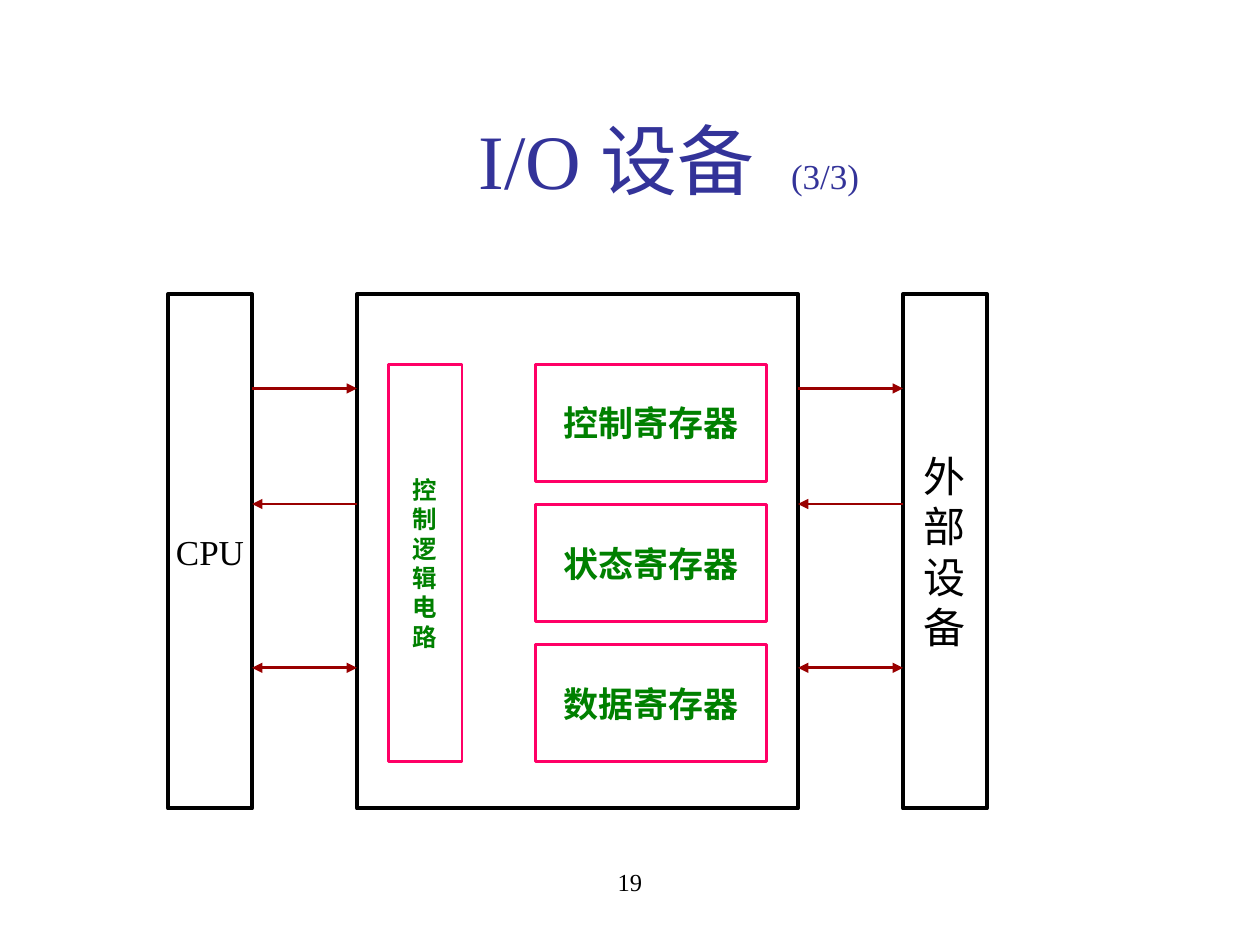
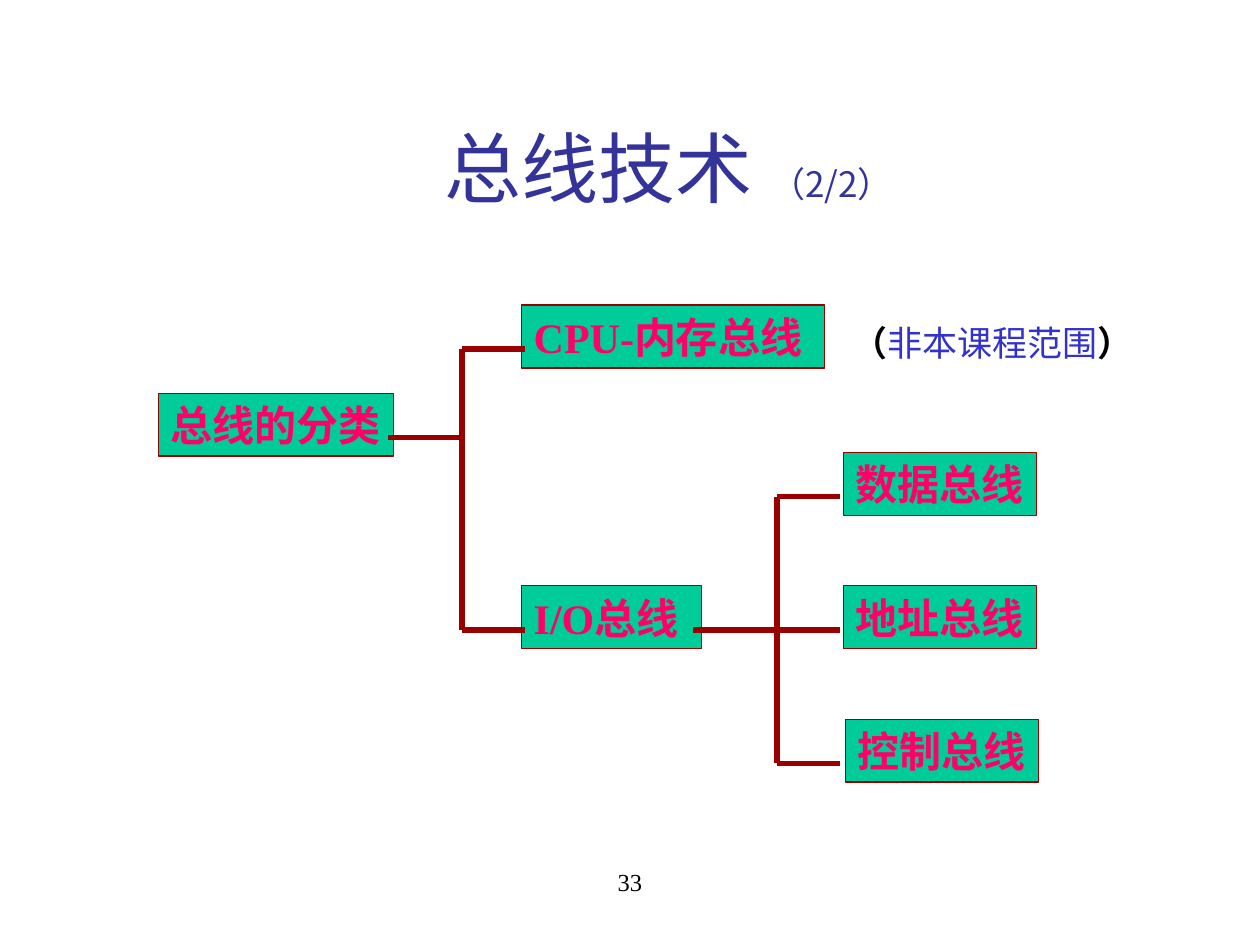
from dataclasses import dataclass

from lxml import etree
from pptx import Presentation
from pptx import util as u
from pptx.dml.color import RGBColor
from pptx.enum import shapes, text
from pptx.oxml.ns import qn

COLUMNS, ROWS = 120, 90  # grid cells across and down the slide
LEFT, CENTER = text.PP_ALIGN.LEFT, text.PP_ALIGN.CENTER
TOP, MIDDLE = text.MSO_ANCHOR.TOP, text.MSO_ANCHOR.MIDDLE


@dataclass(frozen=True)
class Theme:
    ink: str = "000000"
    heading: str = "333399"
    note: str = "3333CC"
    accent: str = "FF0066"
    register: str = "008000"
    wire: str = "990000"
    node: str = "00CC99"
    latin: str = "Times New Roman"
    chinese: str = "Noto Sans CJK SC"
    title_size: int = 44
    large: int = 24
    medium: int = 20
    small: int = 14
    leading: float = 1.2


def apply(target, values):
    for name, value in values.items():
        setattr(target, name, value)


class Deck:
    def __init__(self, theme):
        self.theme = theme
        self.prs = Presentation()
        apply(self.prs, {"slide_width": u.Inches(10), "slide_height": u.Inches(7.5)})
        self.slide = None

    def x(self, column):
        return round(self.prs.slide_width * column / COLUMNS)

    def y(self, row):
        return round(self.prs.slide_height * row / ROWS)

    def place(self, left, top, width, height):
        return self.x(left), self.y(top), self.x(width), self.y(height)

    def fill_text(self, shape, lines, align=CENTER, anchor=TOP, wrap=False, **style):
        """Fill a shape; each line is a string or a list of (string, style) runs."""
        frame = shape.text_frame
        apply(frame, {
            "word_wrap": wrap, "auto_size": text.MSO_AUTO_SIZE.NONE,
            "vertical_anchor": anchor,
            "margin_left": u.Inches(0.1), "margin_right": u.Inches(0.1),
            "margin_top": u.Inches(0.05), "margin_bottom": u.Inches(0.05)})
        for index, line in enumerate(lines):
            paragraph = frame.add_paragraph() if index else frame.paragraphs[0]
            apply(paragraph, {
                "alignment": align,
                "line_spacing": u.Pt(style["size"] * self.theme.leading)})
            for words, changes in [(line, {})] if isinstance(line, str) else line:
                self.add_run(paragraph, words, **{**style, **changes})

    def add_run(self, paragraph, words, size, color, bold=False, font=None, tracking=0):
        run = paragraph.add_run()
        run.text = words
        run.font.color.rgb = RGBColor.from_string(color)
        apply(run.font, {"size": u.Pt(size), "bold": bold,
                         "name": font or self.theme.latin})
        properties = run._r.get_or_add_rPr()
        etree.SubElement(properties, qn("a:ea"), typeface=self.theme.chinese)
        if tracking:
            properties.set("spc", str(tracking * 100))

    def start(self, heading, part, number, top, font=None, tracking=0):
        """Open a slide with its title, part count and page number."""
        theme = self.theme
        self.slide = self.prs.slides.add_slide(self.prs.slide_layouts[5])
        title = self.slide.shapes.title
        left, top, width, height = self.place(12.7, top, 102, 15)
        apply(title, {"left": left, "top": top, "width": width, "height": height})
        self.fill_text(title, [[(heading, {}), (" ", {"tracking": tracking}),
                                (part, {"size": theme.medium})]],
                       wrap=True, size=theme.title_size, color=theme.heading, font=font)
        self.label(41, 82, 38, 6, [number], wrap=True, size=theme.small)

    def label(self, left, top, width, height, lines, **style):
        area = self.slide.shapes.add_textbox(*self.place(left, top, width, height))
        self.fill_text(area, lines, **{"color": self.theme.ink, **style})

    def box(self, left, top, width, height, lines=(), outline=None, weight=2.25,
            fill=None, **style):
        block = self.slide.shapes.add_shape(
            shapes.MSO_SHAPE.RECTANGLE, *self.place(left, top, width, height))
        block.shadow.inherit = False
        if fill:
            block.fill.solid()
            block.fill.fore_color.rgb = RGBColor.from_string(fill)
        else:
            block.fill.background()
        block.line.color.rgb = RGBColor.from_string(outline or self.theme.ink)
        block.line.width = u.Pt(weight)
        if lines:
            self.fill_text(block, lines,
                           **{"anchor": MIDDLE, "color": self.theme.ink, **style})

    def wire(self, x1, y1, x2, y2, weight=3.0, heads=()):
        """Draw a line; heads names the arrow ends, headEnd before tailEnd."""
        link = self.slide.shapes.add_connector(
            shapes.MSO_CONNECTOR.STRAIGHT, self.x(x1), self.y(y1), self.x(x2), self.y(y2))
        link.line.color.rgb = RGBColor.from_string(self.theme.wire)
        link.line.width = u.Pt(weight)
        properties = link._element.spPr
        for end in heads:
            etree.SubElement(properties.find(qn("a:ln")), qn(f"a:{end}"), type="triangle")
        etree.SubElement(properties, qn("a:effectLst"))


def io_device(deck):
    theme = deck.theme
    deck.start("I/O 设备", "(3/3)", "19", top=10.1, tracking=11)
    top, height = 28, 49
    cpu, interface, device = 16, 34, 86
    unit_width, interface_width = 8, 42
    deck.box(cpu, top, unit_width, height, ["CPU"], size=theme.medium)
    deck.box(interface, top, interface_width, height)
    deck.box(device, top, unit_width, height, list("外部设备"), size=theme.large)

    inner = {"outline": theme.accent, "weight": 1.5, "color": theme.register, "bold": True}
    first, register_height, step = 34.7, 11.15, 13.35
    deck.box(37, first, 7, 2 * step + register_height, list("控制逻辑电路"),
             size=theme.small, **inner)
    for index, register in enumerate(["控制寄存器", "状态寄存器", "数据寄存器"]):
        deck.box(51, first + index * step, 22, register_height, [register],
                 size=theme.medium, **inner)

    gaps = [(cpu + unit_width, interface), (interface + interface_width, device)]
    for start, end in gaps:
        deck.wire(start, 37, end, 37, 1.5, ["tailEnd"])
        deck.wire(end, 48, start, 48, 1.5, ["tailEnd"])
        deck.wire(start, 63.6, end, 63.6, 1.5, ["headEnd", "tailEnd"])


def bus_types(deck):
    theme = deck.theme
    deck.start("总线技术", "（2/2）", "33", top=10.9, font=theme.chinese)
    plain = {"color": theme.note, "bold": False}
    deck.label(80, 30, 29, 5.3, [[("（", {}), ("非本课程范围", plain), ("）", {})]],
               align=LEFT, size=theme.medium, bold=True)

    root, memory, io_bus = 41.65, 33.25, 60
    data, control = io_bus - 12.7, io_bus + 12.7
    nodes = [("总线的分类", 15.1, root, 22.35), ("CPU-内存总线", 49.65, memory, 28.9),
             ("I/O总线", 49.65, io_bus, 17.15), ("数据总线", 80.3, data, 18.4),
             ("地址总线", 80.3, io_bus, 18.4), ("控制总线", 80.5, control, 18.4)]
    for name, left, row, width in nodes:
        deck.box(left, row - 4.2, width, 6, [name], outline=theme.wire, weight=0.75,
                 fill=theme.node, align=LEFT, anchor=TOP, size=theme.large,
                 color=theme.accent, bold=True)

    # (stem start, stem row, trunk column, branch end, branch rows)
    forks = [(37, root, 44, 50, [memory, io_bus]),
             (66, io_bus, 74, 80, [data, io_bus, control])]
    for start, row, trunk, end, branches in forks:
        deck.wire(start, row, trunk, row)
        deck.wire(trunk, branches[0], trunk, branches[-1])
        for branch in branches:
            deck.wire(trunk, branch, end, branch)


def main():
    deck = Deck(Theme())
    io_device(deck)
    bus_types(deck)
    deck.prs.save("out.pptx")


if __name__ == "__main__":
    main()
